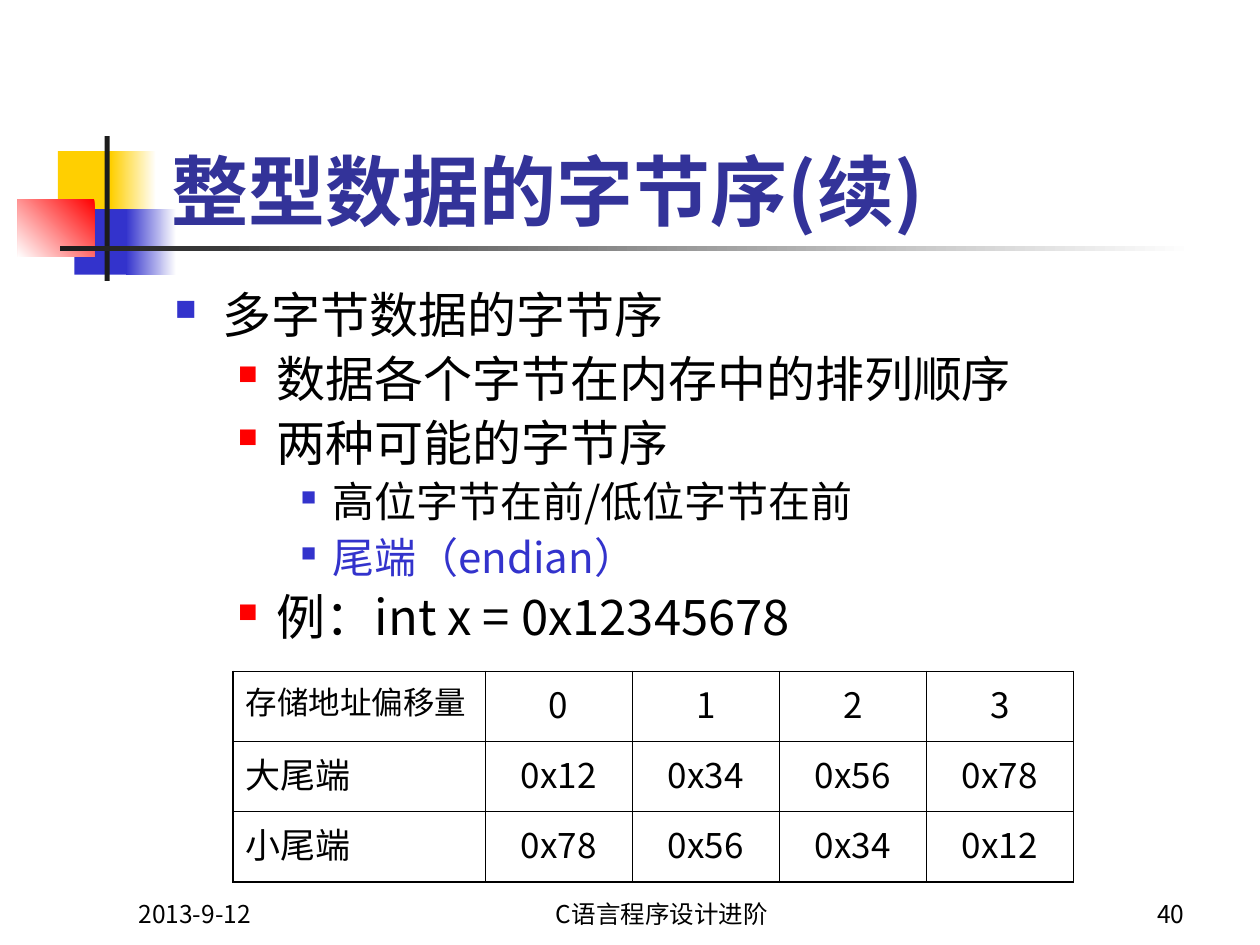
from pptx import Presentation
from pptx.dml.color import RGBColor
from pptx.enum import shapes, text
from pptx.oxml import parse_xml
from pptx.oxml.ns import nsdecls, qn
from pptx.util import Inches, Pt

FONT = "Noto Sans CJK SC"
BLUE, RED, GOLD, DARK = "3333CC", "FF0000", "FFCF01", "1C1C1C"
LEFT, MID, RIGHT = text.PP_ALIGN.LEFT, text.PP_ALIGN.CENTER, text.PP_ALIGN.RIGHT
LEVELS = [(0.38, 0.38, BLUE, 60), (0.81, 0.31, RED, 55), (1.25, 0.25, BLUE, 50)]
BODY = [
    (0, "多字节数据的字节序", 28, "000000"),
    (1, "数据各个字节在内存中的排列顺序", 28, "000000"),
    (1, "两种可能的字节序", 28, "000000"),
    (2, "高位字节在前/低位字节在前", 24, "000000"),
    (2, "尾端（endian）", 24, BLUE),
    (1, "例：int x = 0x12345678", 28, "000000"),
]
ROWS = [
    ["存储地址偏移量", "0", "1", "2", "3"],
    ["大尾端", "0x12", "0x34", "0x56", "0x78"],
    ["小尾端", "0x78", "0x56", "0x34", "0x12"],
]


def rgb(code):
    """Turn a hex string into a colour."""
    return RGBColor.from_string(code)


def write(para, words, size=14, color="000000", bold=False, align=LEFT, before=0):
    """Put formatted text in a paragraph."""
    para.alignment = align
    para.space_before = Pt(before)
    run = para.add_run()
    run.text = words
    font = run.font
    font.size, font.bold, font.name = Pt(size), bold, FONT
    font.color.rgb = rgb(color)
    east = parse_xml(f'<a:ea {nsdecls("a")} typeface="{FONT}"/>')
    font._element.find(qn("a:latin")).addnext(east)


def bullet(para, level):
    """Give a paragraph its square bullet and hanging indent."""
    left, hang, color, size = LEVELS[level]
    para.level = level
    props = para._p.get_or_add_pPr()
    props.set("marL", str(Inches(left)))
    props.set("indent", str(-Inches(hang)))
    for part in (f'buClr {nsdecls("a")}><a:srgbClr val="{color}"/></a:buClr',
                 f'buSzPct {nsdecls("a")} val="{size * 1000}"/',
                 f'buFont {nsdecls("a")} typeface="Wingdings" charset="2"/',
                 f'buChar {nsdecls("a")} char="n"/'):
        props.append(parse_xml(f"<a:{part}>"))


def block(page, x, y, w, h, color, end=None, angle=180):
    """Draw a rectangle, plain or fading between two colours."""
    box = page.shapes.add_shape(shapes.MSO_SHAPE.RECTANGLE, *map(Inches, (x, y, w, h)))
    box.shadow.inherit = False
    box.line.fill.background()
    if end is None:
        box.fill.solid()
        box.fill.fore_color.rgb = rgb(color)
        return
    box.fill.gradient()
    box.fill.gradient_angle = angle
    for stop, code in zip(box.fill.gradient_stops, (color, end)):
        stop.color.rgb = rgb(code)


def decor(page):
    """Draw the coloured squares and the crossing bars."""
    block(page, 0.46, 1.2, 0.48, 0.52, GOLD)
    block(page, 0.88, 1.2, 0.36, 0.52, "FFFFFF", GOLD)
    block(page, 0.59, 1.66, 0.46, 0.52, BLUE)
    block(page, 1, 1.66, 0.4, 0.52, "FFFFFF", BLUE)
    block(page, 0.14, 1.58, 0.61, 0.46, RED, "FFFFFF", 225)
    block(page, 0.83, 1.08, 0.04, 1.15, DARK)
    block(page, 0.48, 1.95, 9, 0.04, "FFFFFF", DARK)


def title(page, words):
    """Place and fill the title."""
    head = page.shapes.title
    page.shapes.element.append(head.element)
    head.left, head.top, head.width, head.height = map(Inches, (1.26, 0.67, 8.52, 1.25))
    frame = head.text_frame
    frame.auto_size = text.MSO_AUTO_SIZE.NONE
    frame.vertical_anchor = text.MSO_ANCHOR.BOTTOM
    write(frame.paragraphs[0], words, size=44, color="333399", bold=True, before=2.8)


def area(page, x, y, w, h, anchor=text.MSO_ANCHOR.TOP):
    """Add a wrapping text box and return its frame."""
    frame = page.shapes.add_textbox(*map(Inches, (x, y, w, h))).text_frame
    frame.word_wrap = True
    frame.vertical_anchor = anchor
    return frame


def body(page):
    """Write the bulleted outline."""
    frame = area(page, 1.29, 2.21, 8.5, 4.77)
    for i, (level, words, size, color) in enumerate(BODY):
        para = frame.add_paragraph() if i else frame.paragraphs[0]
        write(para, words, size=size, color=color, before=2.8)
        bullet(para, level)


def border(cell, edges):
    """Rule the four sides of a cell, heavy on the outer edges."""
    props = cell._tc.get_or_add_tcPr()
    for i, (side, outer) in enumerate(zip("LRTB", edges)):
        width = Pt(1.08 if outer else 0.45)
        props.insert(i, parse_xml(
            f'<a:ln{side} {nsdecls("a")} w="{width}"><a:solidFill>'
            f'<a:srgbClr val="000000"/></a:solidFill></a:ln{side}>'))


def table(page):
    """Build the byte order table."""
    high, wide = len(ROWS), len(ROWS[0])
    full, first = Inches(6.67), Inches(2)
    grid = page.shapes.add_table(high, wide, Inches(1.85), Inches(5.33),
                                 full, Inches(1.67)).table
    for c, col in enumerate(grid.columns):
        col.width = (full - first) // (wide - 1) if c else first
    for r, row in enumerate(ROWS):
        for c, words in enumerate(row):
            cell = grid.cell(r, c)
            cell.fill.background()
            small = r == c == 0
            write(cell.text_frame.paragraphs[0], words, size=18 if small else 20,
                  align=MID if c else LEFT, before=4.5 if small else 5)
            border(cell, (c == 0, c == wide - 1, r == 0, r == high - 1))


def foot(page):
    """Write the date, the course name and the page number."""
    for x, w, words, align in ((1, 2.08, "2013-9-12", LEFT),
                               (3.67, 3.17, "C语言程序设计进阶", MID),
                               (7.42, 2.08, "40", RIGHT)):
        frame = area(page, x, 6.92, w, 0.5, text.MSO_ANCHOR.BOTTOM)
        write(frame.paragraphs[0], words, align=align)


def main():
    """Build the slide and save it."""
    deck = Presentation()
    deck.slide_width, deck.slide_height = Inches(10), Inches(7.5)
    page = deck.slides.add_slide(deck.slide_layouts[5])
    decor(page)
    title(page, "整型数据的字节序(续)")
    body(page)
    table(page)
    foot(page)
    deck.save("out.pptx")


if __name__ == "__main__":
    main()
